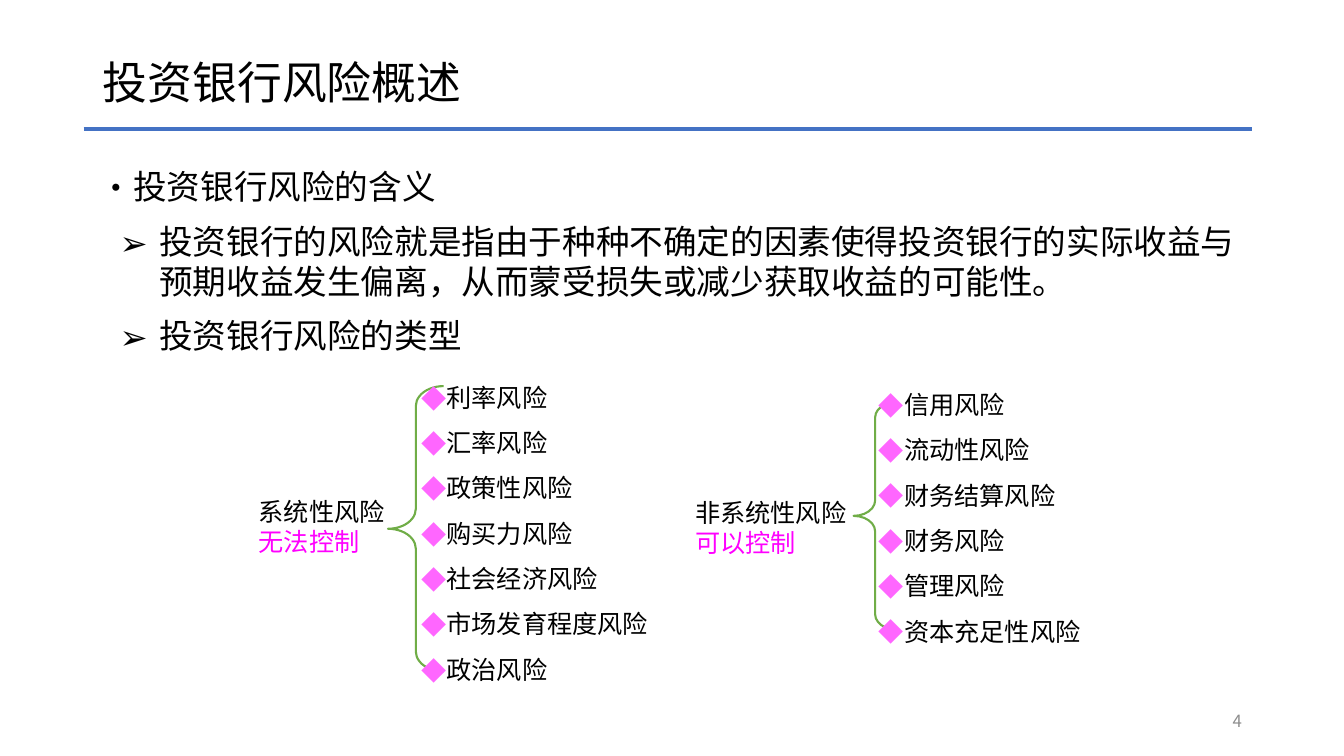
from lxml import etree
from pptx import Presentation
from pptx import util as u
from pptx.dml.color import RGBColor
from pptx.enum import shapes, text
from pptx.oxml import ns

FONT = "Noto Sans CJK SC"
COLORS = {"text": "000000", "rule": "4472C4", "brace": "70AD47",
          "diamond": "FF66FF", "accent": "FF00FF", "number": "8C8C8C"}


def place(sp, *box):
    """Move and size a shape to a box in centimetres."""
    sp.left, sp.top, sp.width, sp.height = (u.Cm(v) for v in box)


def add_run(p, content, size, color="text"):
    """Append one formatted run to a paragraph."""
    r = p.add_run()
    r.text = content
    r.font.size = u.Pt(size)
    r.font.name = FONT
    r.font.color.rgb = RGBColor.from_string(COLORS[color])
    etree.SubElement(r.font._element, ns.qn("a:ea"), typeface=FONT)


def add_bullet(p, char, margin, hang, color="text"):
    """Give a paragraph a bullet with a hanging indent in centimetres."""
    pPr = p._p.get_or_add_pPr()
    pPr.set("marL", str(u.Cm(margin)))
    pPr.set("indent", str(-u.Cm(hang)))
    clr = etree.SubElement(pPr, ns.qn("a:buClr"))
    etree.SubElement(clr, ns.qn("a:srgbClr"), val=COLORS[color])
    etree.SubElement(pPr, ns.qn("a:buFont"), typeface=FONT)
    etree.SubElement(pPr, ns.qn("a:buChar"), char=char)


def paragraphs(tf, count):
    """Yield the given number of paragraphs of a text frame."""
    yield tf.paragraphs[0]
    for _ in range(count - 1):
        yield tf.add_paragraph()


def add_textbox(parent, *box):
    """Add a wrapping text box and return its text frame."""
    tf = parent.add_textbox(*(u.Cm(v) for v in box)).text_frame
    tf.word_wrap = True
    return tf


def add_header(s, x, y, w, h):
    """Fill the title placeholder and draw the rule below it."""
    sp = s.shapes.title
    place(sp, x, y, w, h)
    tf = sp.text_frame
    tf.vertical_anchor = text.MSO_ANCHOR.MIDDLE
    p = tf.paragraphs[0]
    p.alignment = text.PP_ALIGN.LEFT
    p.line_spacing = 0.9
    add_run(p, "投资银行风险概述", 32)
    rule = s.shapes.add_connector(shapes.MSO_CONNECTOR.STRAIGHT, u.Cm(x - 0.23),
                                  u.Cm(y + h), u.Cm(x + w), u.Cm(y + h))
    rule.line.color.rgb = RGBColor.from_string(COLORS["rule"])
    rule.line.width = u.Pt(3)
    etree.SubElement(rule._element.spPr, ns.qn("a:effectLst"))


def add_body(s, x, y, w, h):
    """Fill the body placeholder with the definition and the types heading."""
    points = [
        ("投资银行风险的含义", "•", 0.64, 0.64),
        ("投资银行的风险就是指由于种种不确定的因素使得投资银行的实际收益与"
         "预期收益发生偏离，从而蒙受损失或减少获取收益的可能性。", "➢", 1.5, 1),
        ("投资银行风险的类型", "➢", 1.5, 1),
    ]
    sp = s.placeholders[1]
    place(sp, x, y, w, h)
    tf = sp.text_frame
    for p, (content, char, margin, hang) in zip(paragraphs(tf, len(points)), points):
        p.space_before = u.Pt(10)
        add_bullet(p, char, margin, hang)
        add_run(p, content, 24)


def add_branch(s, x, y, w, h, label, label_box, brace_box, list_x, risks):
    """Place a label, a brace and a risk list; inner boxes are relative to x, y."""
    group = s.shapes.add_group_shape().shapes
    bx, by, bw, bh = brace_box
    brace = group.add_shape(shapes.MSO_SHAPE.LEFT_BRACE, u.Cm(x + bx),
                            u.Cm(y + by), u.Cm(bw), u.Cm(bh))
    brace.adjustments[0] = 0.358
    brace.shadow.inherit = False
    brace.fill.background()
    brace.line.color.rgb = RGBColor.from_string(COLORS["brace"])
    brace.line.width = u.Pt(1.5)

    tf = add_textbox(group, x + list_x, y, w - list_x, h)
    for p, risk in zip(paragraphs(tf, len(risks)), risks):
        p.line_spacing = 1.5
        add_bullet(p, "◆", 0.7, 0.62, "diamond")
        add_run(p, risk, 18)

    ly, lw = label_box
    tf = add_textbox(group, x, y + ly, lw, 1.8)
    for p, content, color in zip(paragraphs(tf, 2), label, ("text", "accent")):
        add_run(p, content, 18, color)


def add_number(s, x, y, w, h):
    """Add the slide number at the lower right."""
    tf = add_textbox(s.shapes, x, y, w, h)
    tf.vertical_anchor = text.MSO_ANCHOR.MIDDLE
    p = tf.paragraphs[0]
    p.alignment = text.PP_ALIGN.RIGHT
    add_run(p, "4", 12, "number")


def main():
    """Build the slide and save it."""
    prs = Presentation()
    prs.slide_width, prs.slide_height = u.Cm(33.87), u.Cm(19.05)
    s = prs.slides.add_slide(prs.slide_layouts[1])
    add_header(s, 2.34, 1.02, 29.21, 2.24)
    add_body(s, 2.26, 4.06, 29.21, 12.73)
    add_branch(s, 6.27, 9.12, 11.21, 8.33, ("系统性风险", "无法控制"),
               (3.25, 4.01), (3.51, 0.61, 1.4, 7.19), 4.02,
               ("利率风险", "汇率风险", "政策性风险", "购买力风险",
                "社会经济风险", "市场发育程度风险", "政治风险"))
    add_branch(s, 17.27, 9.3, 11.46, 7.19, ("非系统性风险", "可以控制"),
               (3.1, 4.45), (4.24, 0.83, 1.09, 5.74), 4.55,
               ("信用风险", "流动性风险", "财务结算风险", "财务风险",
                "管理风险", "资本充足性风险"))
    add_number(s, 23.93, 17.65, 7.62, 1.02)
    prs.save("out.pptx")


if __name__ == "__main__":
    main()
